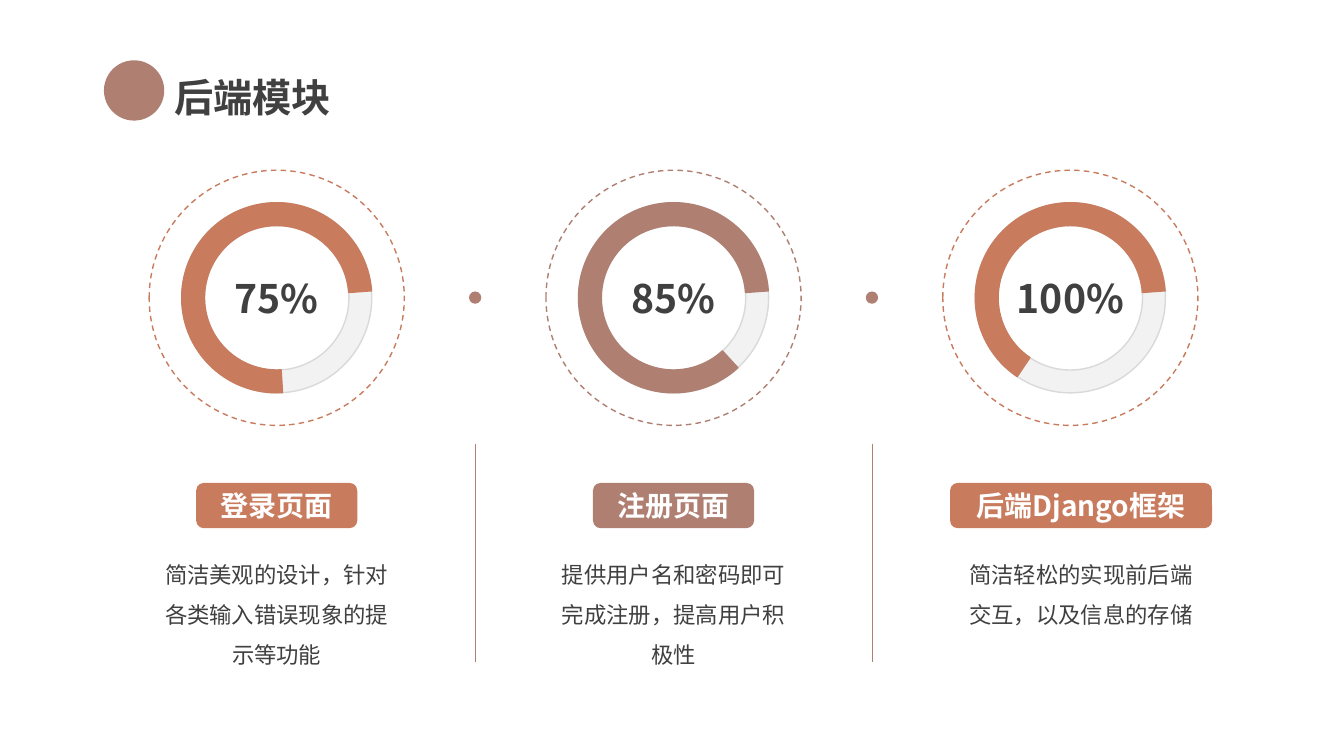
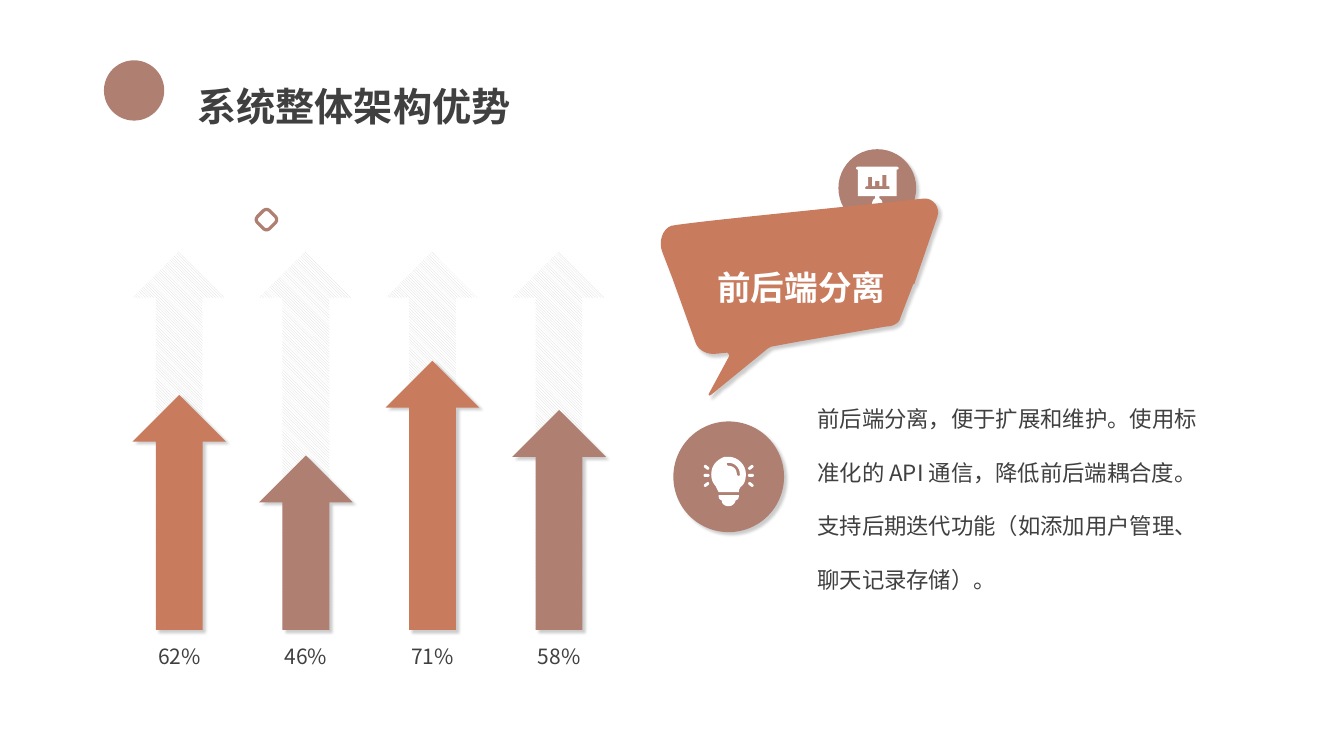
from math import ceil

from lxml.etree import SubElement
from pptx import Presentation
from pptx.dml.color import RGBColor
from pptx.enum.dml import MSO_LINE, MSO_PATTERN
from pptx.enum.shapes import MSO_CONNECTOR, MSO_SHAPE as Preset
from pptx.enum.text import MSO_ANCHOR as Anchor, MSO_AUTO_SIZE as AutoSize, PP_ALIGN as Align
from pptx.oxml.ns import qn
from pptx.util import Cm, Pt

FONT = "Noto Sans CJK SC"
COLORS = {
    "clay": "C87B5D",
    "mauve": "AF7F72",
    "ink": "404040",
    "white": "FFFFFF",
    "track": "F2F2F2",
    "edge": "D9D9D9",
}

GAUGES = [
    ("75%", 86.5, "clay", "登录页面", 4.06, 0,
     "简洁美观的设计，针对各类输入错误现象的提示等功能"),
    ("85%", 47.4, "mauve", "注册页面", 4.06, 0,
     "提供用户名和密码即可完成注册，提高用户积极性"),
    ("100%", 124, "clay", "后端Django框架", 6.6, 0.27,
     "简洁轻松的实现前后端交互，以及信息的存储"),
]
ARROWS = [(62, "clay"), (46, "mauve"), (71, "clay"), (58, "mauve")]
ADVANTAGE = ("前后端分离，便于扩展和维护。使用标准化的 API 通信，降低前后端耦合度。"
             "支持后期迭代功能（如添加用户管理、聊天记录存储）。")

BUBBLE = [[
    (263, 1), (108, 17), (108, 17, 21, 26, 13, 28), (4, 31, 0, 44, 4, 54),
    (14, 80), (37, 144), (40, 152, 49, 156, 57, 155), (60, 155, 64, 154, 67, 154),
    (69, 153, 71, 156, 70, 158), (50, 195), (50, 196, 51, 197, 52, 196),
    (106, 152), (108, 150, 110, 149, 112, 148), (139, 143), (226, 128),
    (232, 128, 239, 125, 240, 120), (243, 112, 253, 86, 253, 86), (254, 86),
    (277, 19), (280, 10, 273, 0, 263, 1),
]]
SCREEN = [
    [(40, 0), (2, 0), (1, 0, 0, 1, 0, 1.5), (0, 2, 1, 3, 2, 3), (2, 29), (19, 29),
     (19, 31), (17, 32, 16, 34, 16, 36), (16, 39, 18, 42, 21, 42),
     (24, 42, 26, 39, 26, 36), (26, 34, 25, 32, 23, 31), (23, 29), (40, 29),
     (40, 3), (41, 3, 42, 2, 42, 1.5), (42, 1, 41, 0, 40, 0)],
    [(32, 22), (11, 22), (10, 22, 9, 22, 9, 21), (9, 20, 10, 19, 11, 19), (12, 19),
     (12, 10), (16, 10), (16, 19), (19, 19), (19, 14), (23, 14), (23, 19), (26, 19),
     (26, 8), (30, 8), (30, 19), (32, 19), (33, 19, 33, 20, 33, 21),
     (33, 22, 33, 22, 32, 22)],
]
BULB = [
    [(25, 0), (21, 0), (15, 2, 9, 7, 8, 14), (7, 19, 8, 25, 12, 29),
     (13, 31, 14, 33, 15, 35), (35, 35), (35, 33, 36, 30, 38, 29),
     (41, 26, 42, 22, 42, 17), (42, 8, 34, 0, 25, 0)],
    [(25, 6), (31, 6, 36, 11, 36, 17), (36, 18, 36, 19, 35, 19),
     (34, 19, 33, 18, 33, 17), (33, 13, 30, 9, 25, 9), (24, 9, 23, 8, 23, 7),
     (23, 6, 24, 6, 25, 6)],
    [(15, 38), (15, 39), (15, 41, 16, 43, 18, 43), (18, 47, 21, 49, 25, 49),
     (28, 49, 31, 47, 32, 43), (34, 43, 35, 41, 35, 39), (35, 38)],
]


def rgb(name):
    return RGBColor.from_string(COLORS[name])


def cast_shadow(shape):
    effects = shape._element.spPr.find(qn("a:effectLst"))
    outer = SubElement(effects, qn("a:outerShdw"), blurRad="25400", dist="38100",
                       dir="2700000", algn="tl", rotWithShape="0")
    black = SubElement(outer, qn("a:srgbClr"), val="000000")
    SubElement(black, qn("a:alpha"), val="20000")


def paint(shape, fill=None, line=None, weight=1, shadow=False):
    shape.shadow.inherit = False
    if fill:
        shape.fill.solid()
        shape.fill.fore_color.rgb = rgb(fill)
    else:
        shape.fill.background()
    if line:
        shape.line.color.rgb = rgb(line)
        shape.line.width = Pt(weight)
    else:
        shape.line.fill.background()
    if shadow:
        cast_shadow(shape)
    return shape


def add_preset(shapes, preset, left, top, width, height, **look):
    shape = shapes.add_shape(preset, Cm(left), Cm(top), Cm(width), Cm(height))
    return paint(shape, **look)


def write(shape, text, size, color="ink", bold=False, align=Align.CENTER,
          spacing=None, anchor=Anchor.MIDDLE, wrap=True):
    frame = shape.text_frame
    frame.word_wrap = wrap
    frame.vertical_anchor = anchor
    paragraph = frame.paragraphs[0]
    paragraph.alignment = align
    if spacing:
        paragraph.line_spacing = spacing
    run = paragraph.add_run()
    run.text = text
    run.font.size = Pt(size)
    run.font.bold = bold
    run.font.color.rgb = rgb(color)
    run.font.name = FONT
    SubElement(run.font._element, qn("a:ea"), typeface=FONT)
    return frame


def add_label(shapes, left, top, width, height, text, size, **style):
    label = shapes.add_textbox(Cm(left), Cm(top), Cm(width), Cm(height))
    return write(label, text, size, **style)


def clear_margins(frame):
    frame.margin_left = frame.margin_right = frame.margin_top = frame.margin_bottom = 0


def flatten(contour, steps=8):
    points = []
    for segment in contour:
        if len(segment) == 2:
            points.append(segment)
            continue
        x0, y0 = points[-1]
        x1, y1, x2, y2, x3, y3 = segment
        for step in range(1, steps + 1):
            t = step / steps
            u = 1 - t
            a, b, c, d = u ** 3, 3 * u * u * t, 3 * u * t * t, t ** 3
            points.append((a * x0 + b * x1 + c * x2 + d * x3,
                           a * y0 + b * y1 + c * y2 + d * y3))
    return points


def add_outline(shapes, contours, left, top, unit, **look):
    builder = None
    for contour in contours:
        first, *rest = [(Cm(left + x * unit), Cm(top + y * unit))
                        for x, y in flatten(contour)]
        if builder is None:
            builder = shapes.build_freeform(*first)
        else:
            builder.move_to(*first)
        builder.add_line_segments(rest, close=True)
    return paint(builder.convert_to_shape(), **look)


def add_header(slide, text, left, top, width):
    add_preset(slide.shapes, Preset.OVAL, 2.62, 1.52, 1.52, 1.52, fill="mauve")
    title = slide.shapes.title
    title.left, title.top, title.width, title.height = Cm(left), Cm(top), Cm(width), Cm(1.52)
    frame = write(title, text, 28, bold=True, align=Align.LEFT,
                  spacing=Pt(25), anchor=Anchor.BOTTOM)
    frame.auto_size = AutoSize.NONE


def add_gauge(slide, left, top, size, percent, start, color):
    gauge = slide.shapes.add_group_shape().shapes
    ring = add_preset(gauge, Preset.OVAL, left, top, size, size, line=color)
    ring.line.dash_style = MSO_LINE.DASH
    write(ring, percent, 28, bold=True)
    inset = 0.82
    dial = (left + inset, top + inset, size - 2 * inset, size - 2 * inset)
    track = add_preset(gauge, Preset.DONUT, *dial, fill="track", line="edge")
    track.adjustments[0] = 0.12
    arc = add_preset(gauge, Preset.BLOCK_ARC, *dial, fill=color, line=color)
    for index, value in enumerate((start * 0.6, 355.8 * 0.6, 0.12)):
        arc.adjustments[index] = value


def add_caption(slide, center, top, label, label_width, color, description):
    tag = add_preset(slide.shapes, Preset.ROUNDED_RECTANGLE, center - label_width / 2,
                     top, label_width, 1.14, fill=color)
    write(tag, label, 20, color="white", bold=True)
    width, lines = 6.45, ceil(len(description) / 10)
    frame = add_label(slide.shapes, center - width / 2, top + 1.5, width,
                      0.25 + 1.02 * lines, description, 16, spacing=1.5, anchor=Anchor.TOP)
    frame.auto_size = AutoSize.SHAPE_TO_FIT_TEXT


def add_divider(slide, x):
    dot = 0.31
    add_preset(slide.shapes, Preset.OVAL, x - dot / 2, 7.5 - dot / 2, dot, dot, fill="mauve")
    rule = slide.shapes.add_connector(MSO_CONNECTOR.STRAIGHT, Cm(x), Cm(11.18), Cm(x), Cm(16.69))
    rule.line.color.rgb = rgb("mauve")
    rule.line.width = Pt(0.5)
    SubElement(rule._element.spPr, qn("a:effectLst"))


def add_arrow(slide, left, top, width, height, percent, color):
    arrow = slide.shapes.add_group_shape().shapes
    backdrop = add_preset(arrow, Preset.UP_ARROW, left, top, width, height)
    backdrop.fill.patterned()
    backdrop.fill.pattern = MSO_PATTERN.DARK_DOWNWARD_DIAGONAL
    backdrop.fill.fore_color.rgb = rgb("edge")
    backdrop.fill.back_color.rgb = rgb("white")
    value = height * percent / 100
    add_preset(arrow, Preset.UP_ARROW, left, top + height - value, width, value,
               fill=color, shadow=True)
    label_width = 1.4
    frame = add_label(arrow, left + (width - label_width) / 2, top + height + 0.39,
                      label_width, 0.69, f"{percent}%", 15, spacing=0.8, wrap=False)
    clear_margins(frame)


def add_screen_badge(slide, left, top, size):
    badge = slide.shapes.add_group_shape().shapes
    add_preset(badge, Preset.OVAL, left, top, size, size, fill="mauve", shadow=True)
    icon = size * 0.55
    inset = (size - icon) / 2
    add_outline(badge, SCREEN, left + inset, top + inset, icon / 42, fill="white")


def add_bulb_badge(slide, left, top, size):
    badge = slide.shapes.add_group_shape().shapes
    add_preset(badge, Preset.OVAL, left, top, size, size, fill="mauve", shadow=True)
    icon = 1.27
    unit = icon / 50
    x, y = left + (size - icon) / 2, top + 0.89
    add_outline(badge, BULB, x, y, unit, fill="white")
    for side, center in ((1, 3), (-1, 47)):
        for middle, tilt in ((10.5, 38), (18.5, 0), (27.5, -38)):
            ray = add_preset(badge, Preset.ROUNDED_RECTANGLE, x + (center - 3) * unit,
                             y + (middle - 1.5) * unit, 6 * unit, 3 * unit, fill="white")
            ray.adjustments[0] = 0.5
            ray.rotation = side * tilt


def add_bubble(slide, left, top, width, text):
    bubble = slide.shapes.add_group_shape().shapes
    add_outline(bubble, BUBBLE, left, top, width / 280, fill="clay", shadow=True)
    frame = add_label(bubble, left + 1.14, top + 1.63, 4.93, 1.27, text, 24,
                      color="white", bold=True, anchor=Anchor.TOP)
    frame.auto_size = AutoSize.SHAPE_TO_FIT_TEXT


def build_backend(slide):
    add_header(slide, "后端模块", 4.14, 1.63, 7.37)
    left, pitch, size = 3.76, 10, 6.43
    for index, (percent, start, color, label, label_width, shift, text) in enumerate(GAUGES):
        x = left + index * pitch
        add_gauge(slide, x, 4.29, size, percent, start, color)
        add_caption(slide, x + size / 2 + shift, 12.17, label, label_width, color, text)
        if index:
            add_divider(slide, x - (pitch - size) / 2)


def build_advantages(slide):
    add_header(slide, "系统整体架构优势", 4.72, 1.88, 8.48)
    for index, (percent, color) in enumerate(ARROWS):
        add_arrow(slide, 3.34 + index * 3.19, 6.32, 2.36, 9.55, percent, color)
    diamond = add_preset(slide.shapes, Preset.ROUNDED_RECTANGLE, 6.5, 5.32, 0.43, 0.43,
                         line="mauve", weight=2.3)
    diamond.adjustments[0] = 0.25
    diamond.rotation = 45
    add_screen_badge(slide, 21.13, 3.76, 1.96)
    add_bulb_badge(slide, 16.97, 10.62, 2.79)
    add_bubble(slide, 16.59, 4.98, 7.11, "前后端分离")
    frame = add_label(slide.shapes, 20.6, 9.53, 9.88, 5.46, ADVANTAGE, 16,
                      align=Align.LEFT, spacing=2.0, anchor=Anchor.TOP)
    clear_margins(frame)
    frame.auto_size = AutoSize.SHAPE_TO_FIT_TEXT


def main():
    deck = Presentation()
    deck.slide_width, deck.slide_height = Cm(33.87), Cm(19.05)
    for build in (build_backend, build_advantages):
        build(deck.slides.add_slide(deck.slide_layouts[5]))
    deck.save("out.pptx")


if __name__ == "__main__":
    main()
